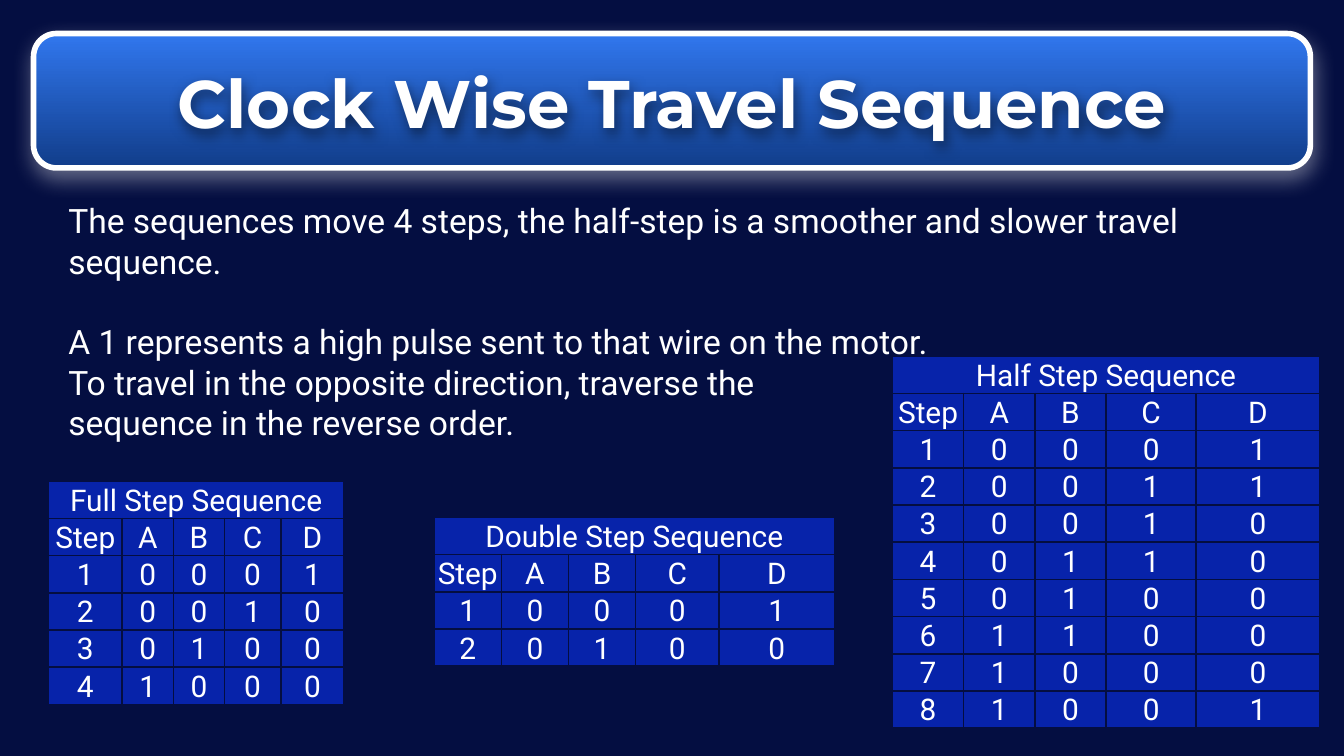
from dataclasses import dataclass

from lxml.etree import SubElement
from pptx import Presentation
from pptx.dml.color import RGBColor
from pptx.enum.shapes import MSO_SHAPE
from pptx.enum.text import MSO_ANCHOR, PP_ALIGN
from pptx.oxml.ns import qn
from pptx.util import Inches, Pt


@dataclass(frozen=True)
class Theme:
    background: str = "040E41"
    cell: str = "0723AA"
    text: str = "FFFFFF"
    banner_top: str = "3177EE"
    banner_bottom: str = "113D8A"
    glow: str = "EFEFEF"
    title_shadow: str = "000000"
    title_font: str = "Montserrat"
    body_font: str = "Roboto"
    title_size: int = 36
    body_size: int = 18
    table_size: int = 16


THEME = Theme()
ROW_HEIGHT = 0.21
WIRES = ["Step", "A", "B", "C", "D"]


def rgb(color):
    return RGBColor.from_string(color)


def style_paragraph(p, size, font=THEME.body_font, bold=False, align=None):
    p.font.name = font
    p.font.size = Pt(size)
    p.font.bold = bold
    p.font.color.rgb = rgb(THEME.text)
    p.alignment = align


def add_shadow(sp, color, opacity, blur, distance, angle):
    sp.shadow.inherit = False
    effects = sp._element.spPr.find(qn("a:effectLst"))
    shadow = SubElement(effects, qn("a:outerShdw"), blurRad=str(Pt(blur)),
                        dist=str(Pt(distance)), dir=str(angle * 60000),
                        algn="bl", rotWithShape="0")
    clr = SubElement(shadow, qn("a:srgbClr"), val=color)
    SubElement(clr, qn("a:alpha"), val=str(opacity * 1000))


def add_banner(s, left, top, width, height):
    sp = s.shapes.add_shape(MSO_SHAPE.ROUNDED_RECTANGLE, Inches(left),
                            Inches(top), Inches(width), Inches(height))
    sp.adjustments[0] = 0.17
    sp.fill.gradient()
    sp.fill.gradient_angle = 270
    colors = (THEME.banner_top, THEME.banner_bottom)
    for stop, color in zip(sp.fill.gradient_stops, colors):
        stop.color.rgb = rgb(color)
    sp.line.color.rgb = rgb(THEME.text)
    sp.line.width = Pt(3)
    add_shadow(sp, THEME.glow, 40, 11.2, 3.8, 89)


def add_text(s, left, top, width, height, paragraphs, gap=0):
    sp = s.shapes.add_textbox(Inches(left), Inches(top),
                              Inches(width), Inches(height))
    tf = sp.text_frame
    tf.word_wrap = True
    tf.margin_left = tf.margin_right = Inches(0.1)
    tf.margin_top = tf.margin_bottom = Inches(0.1)
    for i, text in enumerate(paragraphs):
        p = tf.add_paragraph() if i else tf.paragraphs[0]
        p.text = text
        style_paragraph(p, THEME.body_size)
        if i:
            p.space_before = Pt(gap)
    return sp


def add_title(s, left, top, width, height, text):
    sp = add_text(s, left, top, width, height, [text])
    sp.text_frame.vertical_anchor = MSO_ANCHOR.MIDDLE
    style_paragraph(sp.text_frame.paragraphs[0], THEME.title_size,
                    THEME.title_font, True, PP_ALIGN.CENTER)
    add_shadow(sp, THEME.title_shadow, 50, 7, 3, 75)


def style_cell(cell):
    cell.margin_left = cell.margin_right = cell.margin_top = Inches(0.01)
    cell.margin_bottom = 0
    cell.vertical_anchor = MSO_ANCHOR.BOTTOM
    style_paragraph(cell.text_frame.paragraphs[0], THEME.table_size,
                    align=PP_ALIGN.CENTER)
    # Borders must come before the fill in the cell properties
    tcPr = cell._tc.get_or_add_tcPr()
    for side in ("lnL", "lnR", "lnT", "lnB"):
        ln = SubElement(tcPr, qn(f"a:{side}"), w=str(Pt(1)))
        fill = SubElement(ln, qn("a:solidFill"))
        SubElement(fill, qn("a:srgbClr"), val=THEME.background)
    cell.fill.solid()
    cell.fill.fore_color.rgb = rgb(THEME.cell)


def add_sequence_table(s, left, top, widths, title, pulses):
    """Each pulse string holds the states of wires A to D for one step."""
    steps = [[str(n), *states] for n, states in enumerate(pulses, 1)]
    rows = [[title, "", "", "", ""], WIRES, *steps]
    frame = s.shapes.add_table(len(rows), len(WIRES), Inches(left),
                               Inches(top), Inches(sum(widths)),
                               Inches(ROW_HEIGHT * len(rows)))
    table = frame.table
    for column, width in zip(table.columns, widths):
        column.width = Inches(width)
    for r, values in enumerate(rows):
        for c, value in enumerate(values):
            cell = table.cell(r, c)
            cell.text = value
            style_cell(cell)
    table.cell(0, 0).merge(table.cell(0, len(WIRES) - 1))


def main():
    prs = Presentation()
    # Widescreen, 16:9
    prs.slide_width = Inches(10)
    prs.slide_height = prs.slide_width * 9 // 16
    s = prs.slides.add_slide(prs.slide_layouts[6])
    s.background.fill.solid()
    s.background.fill.fore_color.rgb = rgb(THEME.background)

    # Title banner
    add_banner(s, 0.25, 0.25, 9.5, 1)
    add_title(s, 0.5, 0.38, 9, 0.75, "Clock Wise Travel Sequence")

    # Step tables and explanation
    add_sequence_table(s, 0.36, 3.58, [0.55, 0.38, 0.38, 0.42, 0.47],
                       "Full Step Sequence",
                       ["0001", "0010", "0100", "1000"])
    add_sequence_table(s, 6.64, 2.65, [0.53, 0.53, 0.53, 0.67, 0.92],
                       "Half Step Sequence",
                       ["0001", "0011", "0010", "0110",
                        "0100", "1100", "1000", "1001"])
    add_text(s, 0.41, 1.39, 9.18, 1, [
        "The sequences move 4 steps, the half-step is a smoother and slower "
        "travel sequence.",
        "A 1 represents a high pulse sent to that wire on the motor.",
    ], gap=21.5)
    add_sequence_table(s, 3.23, 3.85, [0.5, 0.5, 0.5, 0.62, 0.86],
                       "Double Step Sequence", ["0001", "0100"])
    add_text(s, 0.41, 2.59, 6.14, 1, [
        "To travel in the opposite direction, traverse the sequence in the "
        "reverse order.",
    ])

    prs.save("out.pptx")


if __name__ == "__main__":
    main()
